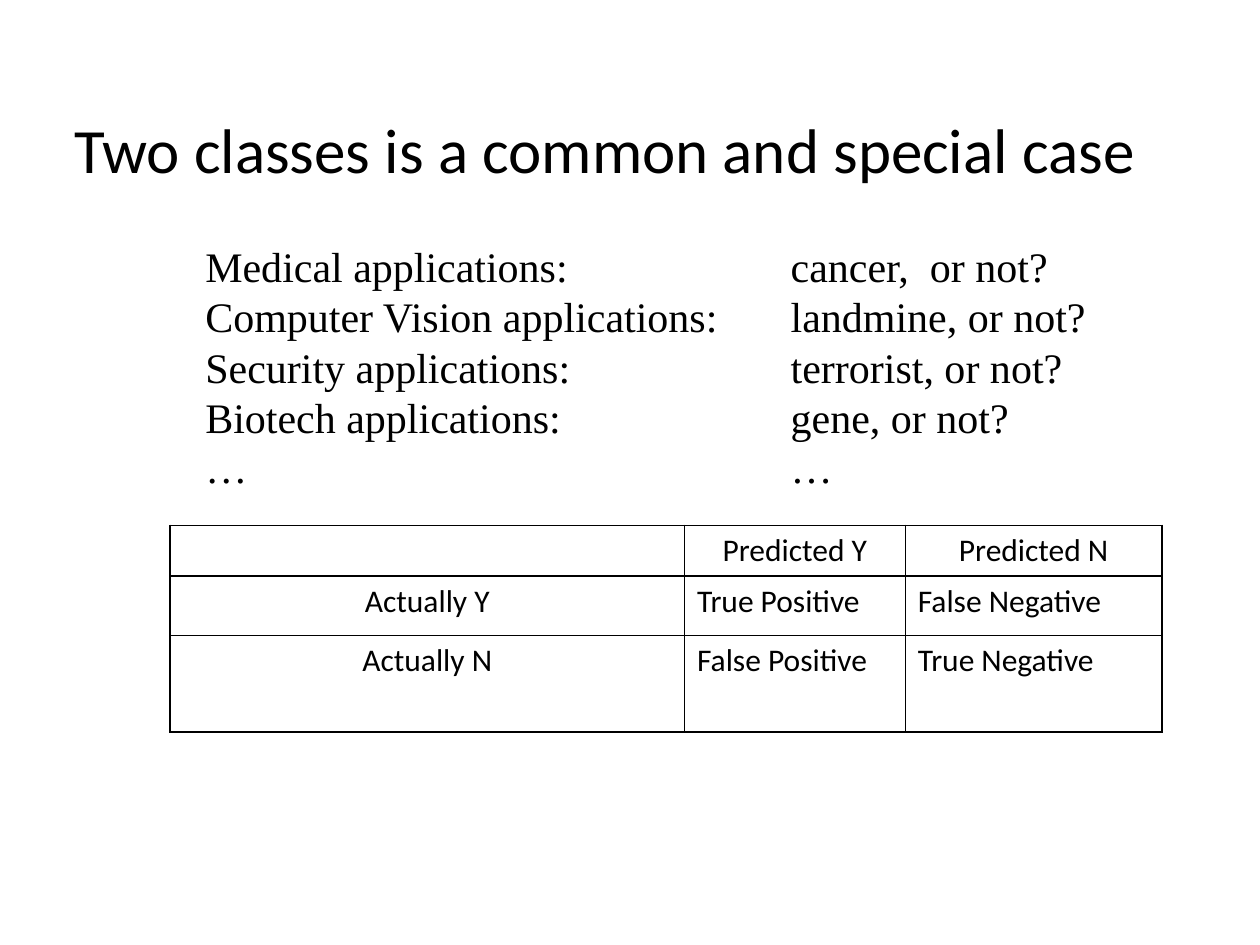
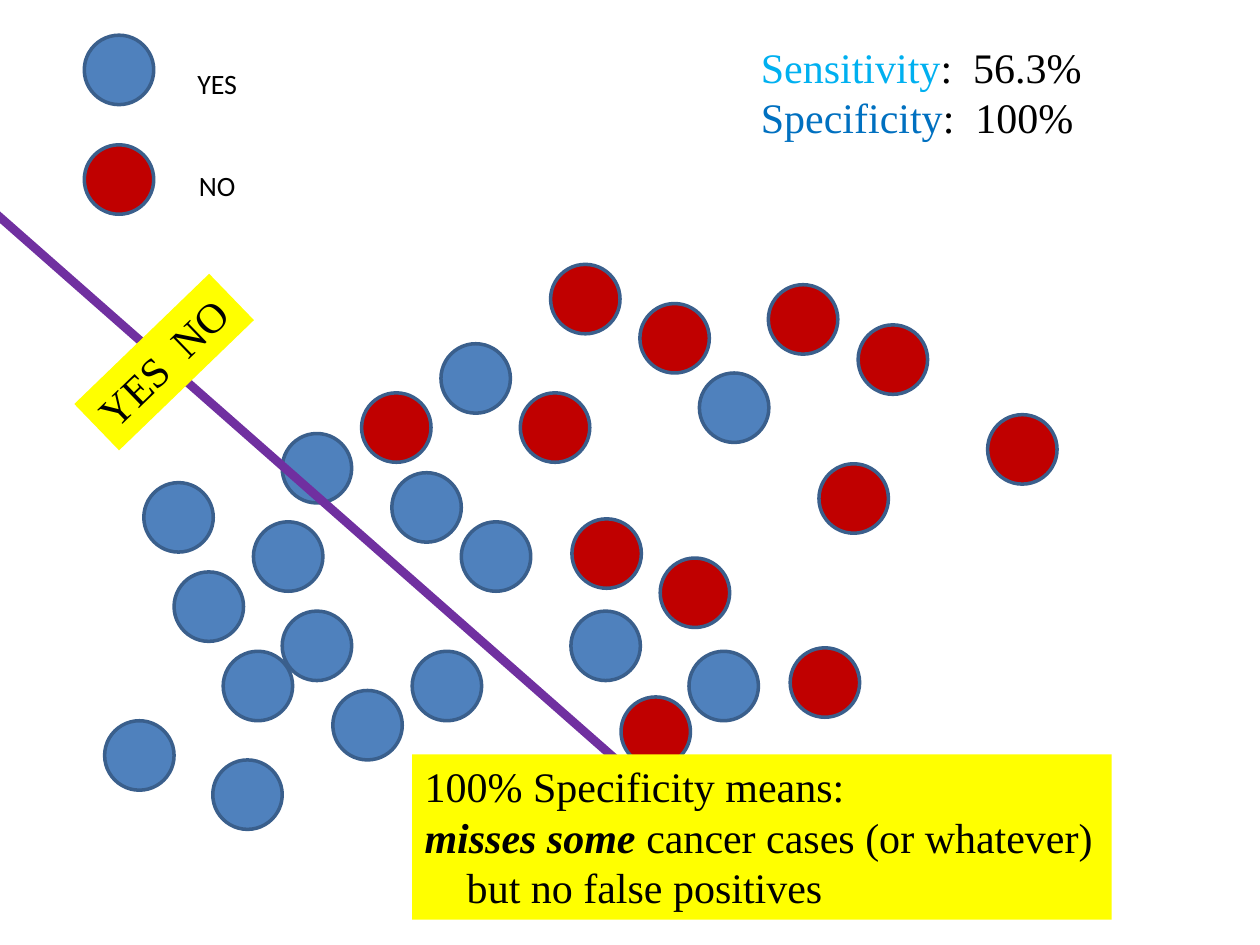
from lxml.etree import SubElement
from pptx import Presentation
from pptx.dml.color import RGBColor
from pptx.enum.shapes import MSO_CONNECTOR, MSO_SHAPE
from pptx.enum.text import MSO_ANCHOR, PP_ALIGN
from pptx.oxml import parse_xml
from pptx.oxml.ns import nsdecls, qn
from pptx.util import Cm, Pt

BLACK, YELLOW, PURPLE = "000000", "FFFF00", "7030A0"
BLUE, RED, OUTLINE = "4F81BD", "C00000", "3A5F8C"
SANS, SERIF = "Calibri", "Times New Roman"
LEFT, CENTER = PP_ALIGN.LEFT, PP_ALIGN.CENTER
rgb = RGBColor.from_string


def write(frame, lines, font=SERIF, size=24, align=LEFT):
    """Fill a text frame; each line is a list of (text, colour, emphasised) runs."""
    for number, line in enumerate(lines):
        para = frame.paragraphs[0] if number == 0 else frame.add_paragraph()
        para.alignment = align
        for text, colour, emphasised in line:
            span = para.add_run()
            span.text = text
            span.font.name, span.font.size = font, Pt(size)
            span.font.color.rgb = rgb(colour)
            span.font.bold = span.font.italic = emphasised


def add_box(page, left, top, width, height, fill=None, anchor=MSO_ANCHOR.TOP):
    box = page.shapes.add_textbox(Cm(left), Cm(top), Cm(width), Cm(height))
    box.text_frame.vertical_anchor = anchor
    if fill:
        box.fill.solid()
        box.fill.fore_color.rgb = rgb(fill)
    return box


deck = Presentation()
deck.slide_width, deck.slide_height = Cm(25.4), Cm(19.05)
blank = deck.slide_layouts[6]

# Slide 1: two-class problems and the confusion matrix
page = deck.slides.add_slide(blank)
title = add_box(page, 0.89, 1.12, 22.6, 3.73, anchor=MSO_ANCHOR.MIDDLE).text_frame
title.word_wrap = True
write(title, [[("Two classes is a common and special case", BLACK, False)]], SANS, 36, CENTER)

applications = [
    ("Medical applications:", "cancer,  or not?"),
    ("Computer Vision applications:", "landmine, or not?"),
    ("Security applications:", "terrorist, or not?"),
    ("Biotech applications:", "gene, or not?"),
    ("…", "…"),
]
examples = add_box(page, 3.89, 4.72, 18.42, 5.38).text_frame
examples.word_wrap = True
write(examples, [[(f"{field}\t{question}", BLACK, False)] for field, question in applications])
for para in examples.paragraphs:
    tabs = SubElement(para._p.get_or_add_pPr(), qn("a:tabLst"))
    SubElement(tabs, qn("a:tab"), pos=str(Cm(11.8)), algn="l")

matrix = [
    ["", "Predicted Y", "Predicted N"],
    ["Actually Y", "True Positive", "False Negative"],
    ["Actually N", "False Positive", "True Negative"],
]
table = page.shapes.add_table(3, 3, Cm(3.43), Cm(10.59), Cm(20), Cm(4.17)).table
table.first_row = table.horz_banding = False
for column, width in zip(table.columns, (10.37, 4.45, 5.18)):
    column.width = Cm(width)
for row, height in zip(table.rows, (1.02, 1.2, 1.95)):
    row.height = Cm(height)
for row, labels in enumerate(matrix):
    for column, label in enumerate(labels):
        cell = table.cell(row, column)
        cell.fill.background()
        is_header = row == 0 or column == 0
        if label:
            write(cell.text_frame, [[(label, BLACK, False)]], SANS, 18,
                  CENTER if is_header else LEFT)
        for place, side in enumerate(("lnL", "lnR", "lnT", "lnB")):
            border = parse_xml(
                f'<a:{side} {nsdecls("a")} w="{Pt(1)}"><a:solidFill>'
                f'<a:srgbClr val="{BLACK}"/></a:solidFill></a:{side}>')
            cell._tc.get_or_add_tcPr().insert(place, border)

# Slide 2: a classifier with full specificity
page = deck.slides.add_slide(blank)
legend = add_box(page, 2.49, 1.12, 3.78, 3.18, anchor=MSO_ANCHOR.MIDDLE).text_frame
legend.word_wrap = True
write(legend, [[("YES", BLACK, False)], [("NO", BLACK, False)]], SANS, 16, CENTER)
legend.paragraphs[1].space_before = Pt(39)

# The first dot of each colour belongs to the legend
dots = {
    BLUE: [(1.7, 0.71), (11.51, 12.32), (2.9, 9.73), (4.5, 13.13), (5.69, 8.74),
           (8.31, 13.13), (5.11, 10.52), (6.71, 13.92), (7.9, 9.53), (9.3, 10.52),
           (14.1, 7.52), (13.89, 13.13), (8.89, 6.93), (3.51, 11.53), (5.69, 12.32),
           (2.11, 14.53), (4.29, 15.32)],
    RED: [(1.7, 2.92), (11.1, 5.33), (12.9, 6.12), (7.29, 7.92), (10.49, 7.92),
          (11.53, 10.46), (13.31, 11.25), (12.52, 14.05), (15.93, 13.06),
          (15.49, 5.74), (17.3, 6.55), (16.51, 9.35), (19.91, 8.36)],
}
for colour, places in dots.items():
    for left, top in places:
        dot = page.shapes.add_shape(MSO_SHAPE.OVAL, Cm(left), Cm(top), Cm(1.4), Cm(1.4))
        dot.shadow.inherit = False
        dot.fill.solid()
        dot.fill.fore_color.rgb = rgb(colour)
        dot.line.color.rgb = rgb(OUTLINE)
        dot.line.width = Pt(2)

boundary = page.shapes.add_connector(
    MSO_CONNECTOR.STRAIGHT, Cm(-0.5), Cm(3.94), Cm(14.7), Cm(17.32))
boundary.line.color.rgb = rgb(PURPLE)
boundary.line.width = Pt(5)
SubElement(boundary._element.spPr, qn("a:effectLst"))

scores = add_box(page, 15.09, 0.71, 7.52, 2.31).text_frame
scores.word_wrap = True
write(scores, [
    [("Sensitivity", "00B0F0", False), (":  56.3%", BLACK, False)],
    [("Specificity", "0070C0", False), (":  100%", BLACK, False)],
])

sides = add_box(page, 1.42, 6.65, 3.78, 1.3, YELLOW)
sides.rotation = 316
sides.text_frame.word_wrap = False
write(sides.text_frame, [[("YES  NO", BLACK, False)]])

meaning = add_box(page, 8.31, 15.21, 14.1, 3.33, YELLOW).text_frame
meaning.word_wrap = False
write(meaning, [
    [("100% Specificity means:", BLACK, False)],
    [("misses some ", BLACK, True), ("cancer cases (or whatever)", BLACK, False)],
    [("but no false positives", BLACK, False)],
])
meaning.paragraphs[2]._p.get_or_add_pPr().set("marL", str(Cm(0.85)))

deck.save("out.pptx")
